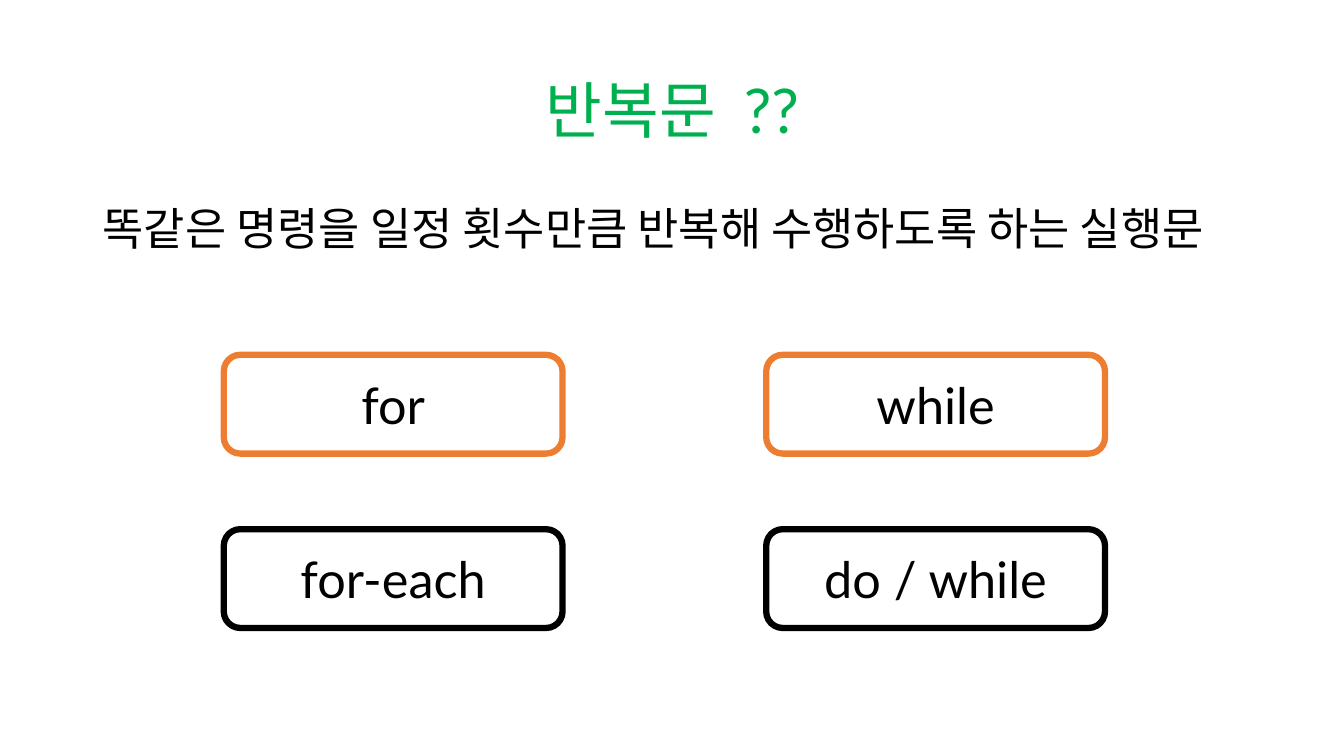
from pptx import Presentation
from pptx.dml.color import RGBColor
from pptx.enum.shapes import MSO_SHAPE
from pptx.enum.text import MSO_ANCHOR, PP_ALIGN
from pptx.util import Inches, Pt

ROUNDED = MSO_SHAPE.ROUNDED_RECTANGLE
TOP, MIDDLE = MSO_ANCHOR.TOP, MSO_ANCHOR.MIDDLE
LEFT, CENTER = PP_ALIGN.LEFT, PP_ALIGN.CENTER

# Content
FONT = "Lato"
TITLE = "반복문  ??"
DEFINITION = "똑같은 명령을 일정 횟수만큼 반복해 수행하도록 하는 실행문"
LOOP_ROWS = [
    ("ED7D31", ["for", "while"]),
    ("000000", ["for-each", "do / while"]),
]

# Layout in inches
TEXT_LEFT, TEXT_WIDTH = 0.92, 11.5
GRID_LEFT, GRID_TOP = 2.22, 3.52
COLUMN_STEP, ROW_STEP = 5.38, 1.73
LOOP_WIDTH, LOOP_HEIGHT = 3.36, 0.98


def color(value):
    return RGBColor.from_string(value)


def write(shape, text, size, ink="000000", align=CENTER, anchor=MIDDLE,
          line_spacing=None, before=None):
    frame = shape.text_frame
    frame.word_wrap = True
    frame.vertical_anchor = anchor
    para = frame.paragraphs[0]
    para.alignment = align
    para.line_spacing = line_spacing
    if before is not None:
        para.space_before = Pt(before)
    span = para.add_run()
    span.text = text
    span.font.name = FONT
    span.font.size = Pt(size)
    span.font.color.rgb = color(ink)


def add_text(page, top, height, text, **style):
    box = page.shapes.add_textbox(Inches(TEXT_LEFT), Inches(top),
                                  Inches(TEXT_WIDTH), Inches(height))
    write(box, text, line_spacing=0.9, **style)


def add_loop(page, left, top, text, outline):
    box = page.shapes.add_shape(ROUNDED, Inches(left), Inches(top),
                                Inches(LOOP_WIDTH), Inches(LOOP_HEIGHT))
    box.shadow.inherit = False
    box.fill.solid()
    box.fill.fore_color.rgb = color("FFFFFF")
    box.line.color.rgb = color(outline)
    box.line.width = Pt(4.5)
    write(box, text, size=36)


def main():
    deck = Presentation()
    deck.slide_width, deck.slide_height = Inches(13.33), Inches(7.5)
    page = deck.slides.add_slide(deck.slide_layouts[6])

    # Title and definition
    add_text(page, 0.4, 1.45, TITLE, size=44, ink="00B050")
    add_text(page, 2, 4.76, DEFINITION, size=32, align=LEFT, anchor=TOP, before=10)

    # Grid of loop statements
    for row, (outline, names) in enumerate(LOOP_ROWS):
        for column, name in enumerate(names):
            add_loop(page, GRID_LEFT + column * COLUMN_STEP,
                     GRID_TOP + row * ROW_STEP, name, outline)

    deck.save("out.pptx")


if __name__ == "__main__":
    main()
